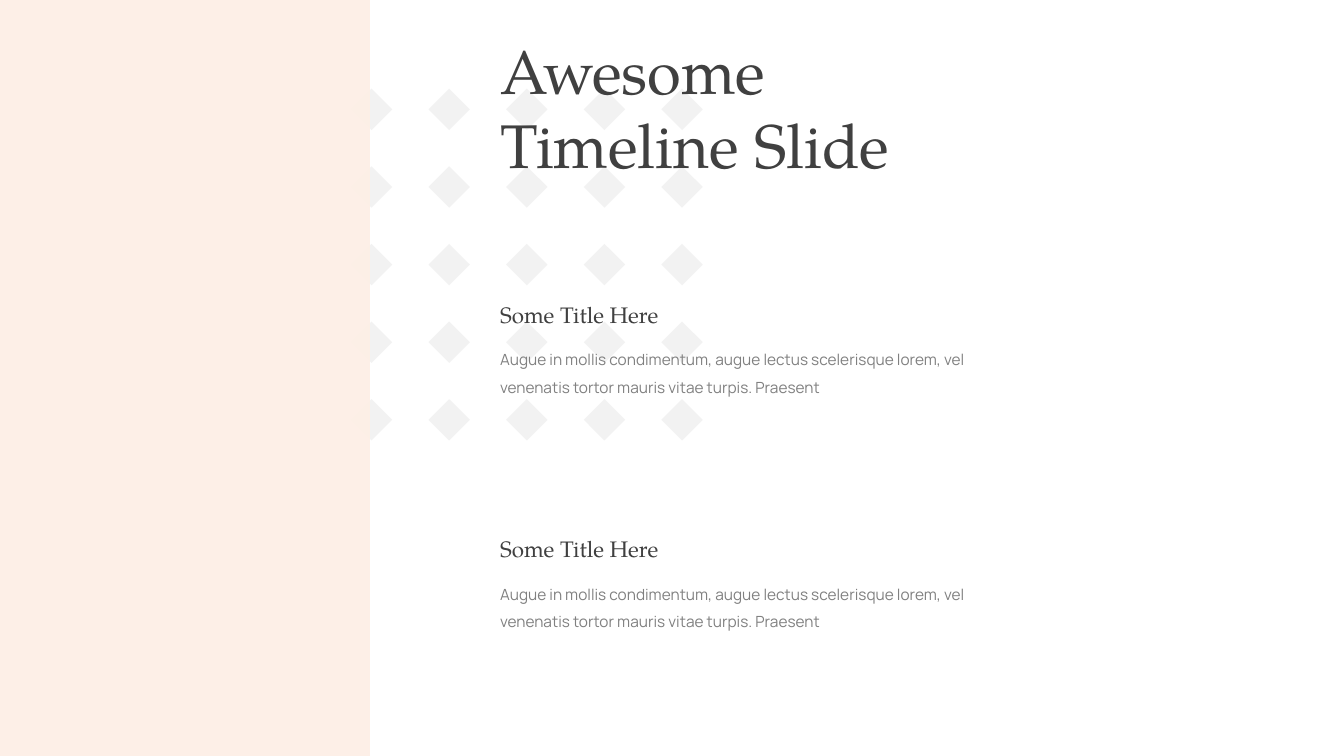
from dataclasses import dataclass

from lxml import etree
from pptx import Presentation
from pptx.dml.color import RGBColor
from pptx.enum.shapes import MSO_SHAPE
from pptx.enum.text import MSO_ANCHOR, MSO_AUTO_SIZE, PP_ALIGN
from pptx.oxml.ns import qn
from pptx.util import Inches, Pt

DIAMOND, RECT = MSO_SHAPE.DIAMOND, MSO_SHAPE.RECTANGLE
TOP, LEFT, FIXED = MSO_ANCHOR.TOP, PP_ALIGN.LEFT, MSO_AUTO_SIZE.NONE
COMPARE = 4  # layout with a title and two heading/body pairs


@dataclass(frozen=True)
class Theme:
    dark: str = "404040"
    gray: str = "808080"
    pale: str = "F2F2F2"
    peach: str = "FDEFE6"
    serif: str = "TeX Gyre Pagella"
    sans: str = "Manrope"
    title: int = 44
    head: int = 16
    body: int = 11


THEME = Theme()
HEAD = "Some Title Here"
BODY = ("Augue in mollis condimentum, augue lectus scelerisque lorem, "
        "vel venenatis tortor mauris vitae turpis. Praesent")


def place(shape, left, top, width, height):
    shape.left, shape.top = Inches(left), Inches(top)
    shape.width, shape.height = Inches(width), Inches(height)


def paint(shape, color):
    shape.shadow.inherit = False
    shape.fill.solid()
    shape.fill.fore_color.rgb = RGBColor.from_string(color)
    shape.line.fill.background()


def write(slide, holder, box, text, font, size, color, space=1.0):
    """Fill a placeholder with one plain paragraph, in front of the rest."""
    slide.shapes._spTree.append(holder._element)
    place(holder, *box)
    frame = holder.text_frame
    frame.text = text
    frame.word_wrap = True
    frame.auto_size = FIXED
    frame.vertical_anchor = TOP
    para = frame.paragraphs[0]
    para.alignment = LEFT
    para.line_spacing = space
    para.space_before = Pt(0)
    props = para._p.get_or_add_pPr()
    props.set("marL", "0")
    props.set("indent", "0")
    etree.SubElement(props, qn("a:buNone"))
    run = para.runs[0].font
    run.name, run.size, run.bold = font, Pt(size), False
    run.color.rgb = RGBColor.from_string(color)


def add_grid(slide, left, top, count=5, step=0.77, size=0.41):
    """Square grid of diamonds."""
    group = slide.shapes.add_group_shape()
    for row in range(count):
        for col in range(count):
            gem = group.shapes.add_shape(
                DIAMOND, Inches(left + col * step), Inches(top + row * step),
                Inches(size), Inches(size))
            paint(gem, THEME.pale)


def add_panel(slide, left, top, width, height):
    """Side panel, slightly see-through."""
    panel = slide.shapes.add_shape(RECT, Inches(left), Inches(top),
                                   Inches(width), Inches(height))
    paint(panel, THEME.peach)
    tint = panel._element.spPr.find(f"{qn('a:solidFill')}/{qn('a:srgbClr')}")
    etree.SubElement(tint, qn("a:alpha")).set("val", "95000")


def add_entry(slide, head, body, left, top, width):
    """Heading with a paragraph below it."""
    write(slide, head, (left, top, 2.4, 0.5), HEAD,
          THEME.serif, THEME.head, THEME.dark, 1.5)
    write(slide, body, (left, top + 0.53, width, 0.66), BODY,
          THEME.sans, THEME.body, THEME.gray, 1.5)


def build(deck):
    slide = deck.slides.add_slide(deck.slide_layouts[COMPARE])
    title, *parts = list(slide.placeholders)[:5]

    # Backdrop
    add_grid(slide, 3.48, 0.88)
    add_panel(slide, -0.01, 0, 3.68, 7.5)

    # Timeline entries
    pairs = zip(parts[::2], parts[1::2])
    for i, (head, body) in enumerate(pairs):
        add_entry(slide, head, body, 4.86, 2.8 + i * 2.33, 5.47)

    # Title
    write(slide, title, (4.86, 0.28, 4.73, 1.58), "Awesome Timeline Slide",
          THEME.serif, THEME.title, THEME.dark)


def main():
    deck = Presentation()
    deck.slide_width, deck.slide_height = Inches(13.33), Inches(7.5)
    build(deck)
    deck.save("out.pptx")


if __name__ == "__main__":
    main()
